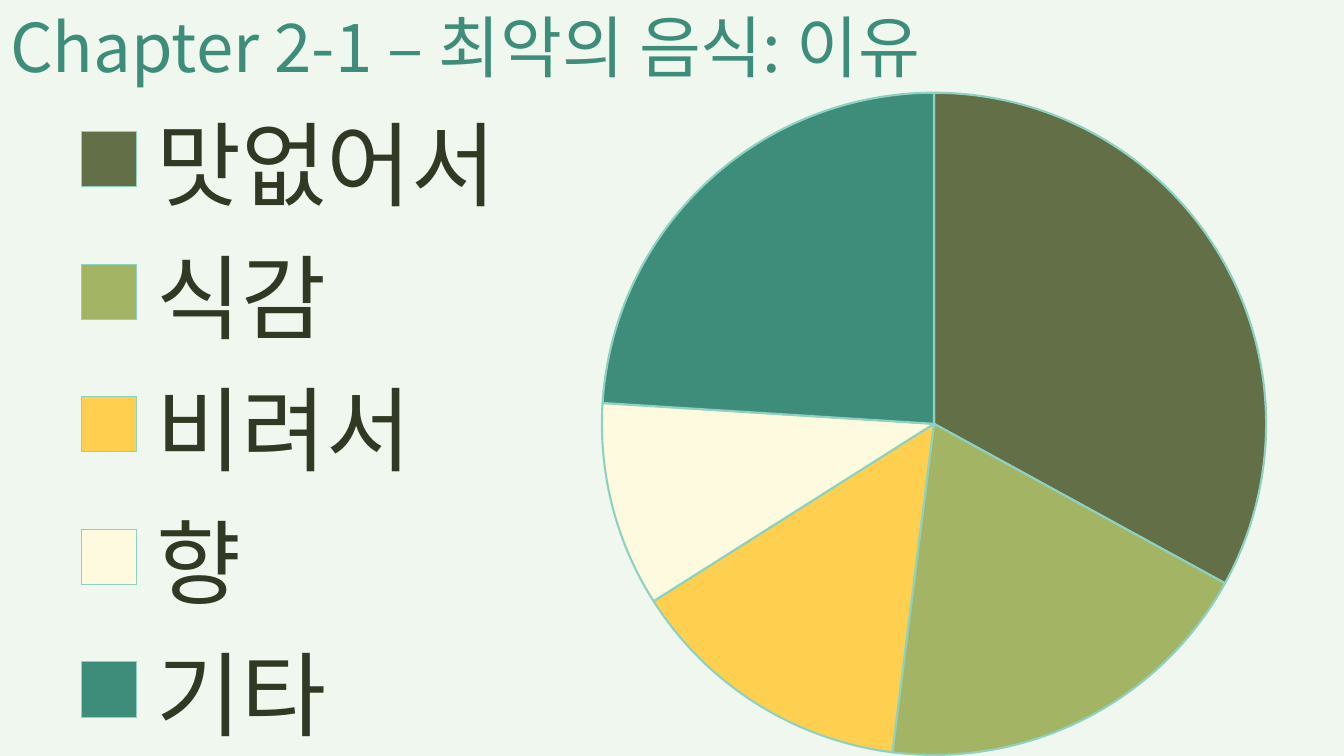
from lxml import etree
from pptx import Presentation
from pptx.chart.data import CategoryChartData
from pptx.dml.color import RGBColor
from pptx.enum.chart import XL_CHART_TYPE, XL_LEGEND_POSITION
from pptx.enum.text import MSO_ANCHOR, MSO_AUTO_SIZE, PP_ALIGN
from pptx.oxml import parse_xml
from pptx.oxml.ns import nsdecls, qn
from pptx.util import Cm, Pt

PIE = XL_CHART_TYPE.PIE
LEFT = XL_LEGEND_POSITION.LEFT
MIDDLE = MSO_ANCHOR.MIDDLE
NO_FIT = MSO_AUTO_SIZE.NONE
ALIGN_LEFT = PP_ALIGN.LEFT

FONT = "Noto Sans CJK KR"
COLORS = {
    "back": "F0F7EE",
    "teal": "3D8D7A",
    "pale": "F6F8D5",
    "dark": "313823",
    "edge": "8FD1C0",
    "olive": "626F47",
    "green": "A4B465",
    "gold": "FFCF50",
    "cream": "FEFAE0",
}
REASONS = [
    ("맛없어서", 33, "olive"),
    ("식감", 19, "green"),
    ("비려서", 14, "gold"),
    ("향", 10, "cream"),
    ("기타", 24, "teal"),
]
WIDTH, HEIGHT, HEAD = 33.87, 19.05, 2.31
PLOT = (0.44, 0, 0.51, 1)
KEY = (0.03, 0, 0.37, 1)


class Deck:
    def __init__(self):
        self.show = Presentation()
        self.show.slide_width = Cm(WIDTH)
        self.show.slide_height = Cm(HEIGHT)
        self.slide = self.show.slides.add_slide(self.show.slide_layouts[5])
        self.paint(self.slide.background.fill, "back")

    def color(self, name):
        return RGBColor.from_string(COLORS[name])

    def paint(self, fill, name):
        fill.solid()
        fill.fore_color.rgb = self.color(name)

    def style(self, font, size, name):
        font.size = Pt(size)
        font.name = FONT
        font.color.rgb = self.color(name)

    def place(self, shape, left, top, width, height):
        shape.left, shape.top = Cm(left), Cm(top)
        shape.width, shape.height = Cm(width), Cm(height)

    def title(self, text, *box):
        shape = self.slide.shapes.title
        self.place(shape, *box)
        frame = shape.text_frame
        frame.text = text
        frame.word_wrap = True
        frame.auto_size = NO_FIT
        frame.vertical_anchor = MIDDLE
        line = frame.paragraphs[0]
        line.alignment = ALIGN_LEFT
        self.style(line.font, 48, "teal")
        run = line.runs[0]
        run.font.name = FONT
        etree.SubElement(run._r.get_or_add_rPr(), qn("a:ea"), typeface=FONT)

    def pie(self, rows, *box):
        names, values, fills = zip(*rows)
        data = CategoryChartData()
        data.categories = names
        data.add_series("Series 1", values)
        spots = [Cm(side) for side in box]
        chart = self.slide.shapes.add_chart(PIE, *spots, data).chart
        chart.has_title = False
        self.style(chart.font, 10, "pale")
        chart.has_legend = True
        legend = chart.legend
        legend.position = LEFT
        legend.include_in_layout = False
        self.style(legend.font, 66, "dark")
        chart.plots[0].vary_by_categories = True
        series = chart.plots[0].series[0]
        for index, name in enumerate(fills):
            wedge = series.points[index].format
            self.paint(wedge.fill, name)
            wedge.line.color.rgb = self.color("edge")
            wedge.line.width = Pt(1.5)
        for latin in chart._chartSpace.iter(qn("a:latin")):
            latin.addnext(parse_xml(f'<a:ea {nsdecls("a")} typeface="{FONT}"/>'))
        target = '<c:layoutTarget val="inner"/>'
        self.layout(chart._chartSpace.chart.plotArea, 0, PLOT, target)
        self.layout(legend._element, 1, KEY)

    def layout(self, part, index, box, target=""):
        for old in part.findall(qn("c:layout")):
            part.remove(old)
        modes = '<c:xMode val="edge"/><c:yMode val="edge"/>'
        sides = "".join(f'<c:{key} val="{value}"/>' for key, value in zip("xywh", box))
        part.insert(index, parse_xml(
            f'<c:layout {nsdecls("c")}><c:manualLayout>{target}{modes}{sides}'
            "</c:manualLayout></c:layout>"))


def main():
    deck = Deck()
    deck.title("Chapter 2-1 – 최악의 음식: 이유", 0, 0, WIDTH, HEAD)
    deck.pie(REASONS, 0, HEAD, WIDTH, HEIGHT - HEAD)
    deck.show.save("out.pptx")


if __name__ == "__main__":
    main()
